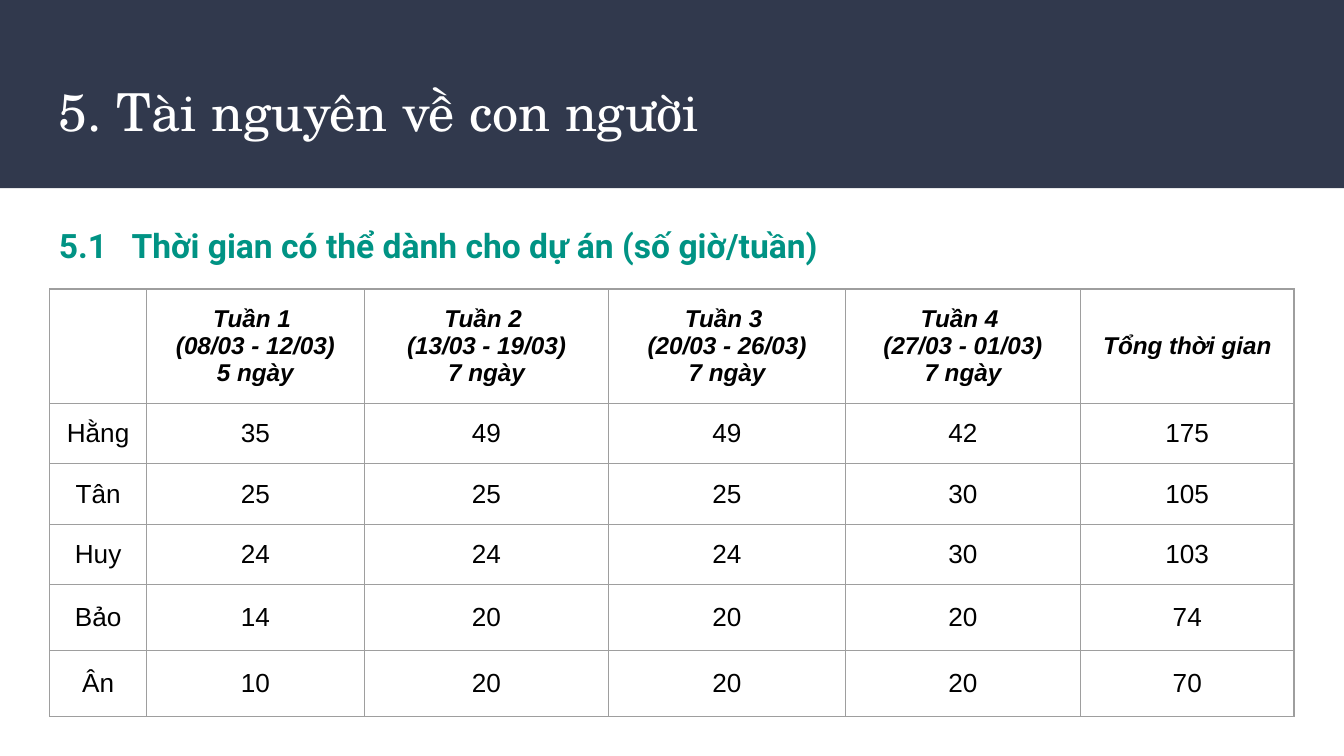
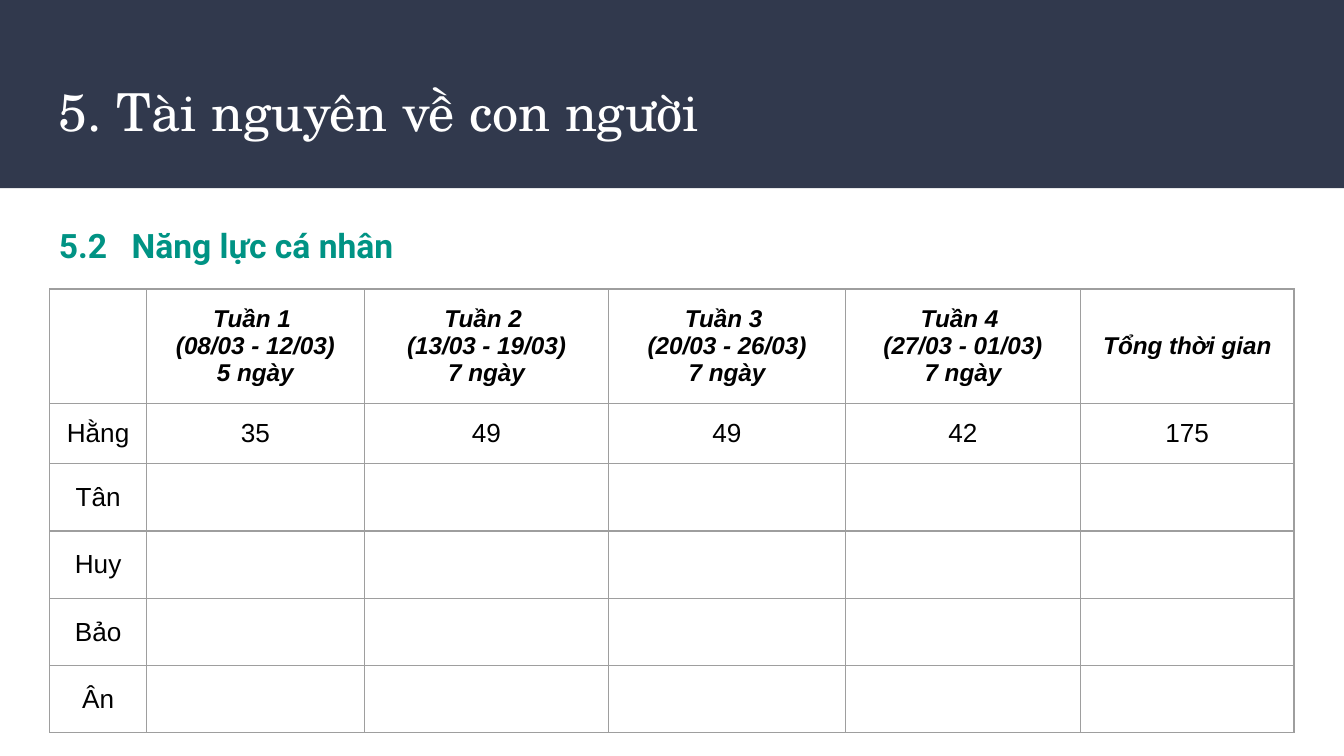
from dataclasses import dataclass

from lxml.etree import SubElement
from pptx import Presentation
from pptx.dml.color import RGBColor
from pptx.enum.shapes import MSO_SHAPE as Shape
from pptx.enum.text import MSO_ANCHOR as Anchor, PP_ALIGN as Align
from pptx.oxml.ns import qn
from pptx.util import Inches, Pt


@dataclass(frozen=True)
class Theme:
    band: str = "31394D"
    title: str = "FFFFFF"
    heading: str = "009384"
    text: str = "000000"
    grid: str = "9E9E9E"
    title_font: str = "TeX Gyre Schola"
    heading_font: str = "Roboto"
    table_font: str = "Arial"
    title_size: float = 28
    heading_size: float = 18
    header_size: float = 13
    value_size: float = 14
    empty_size: float = 18
    grid_width: float = 0.75


THEME = Theme()
SLIDE_WIDTH = Inches(10)
SLIDE_HEIGHT = SLIDE_WIDTH * 9 // 16
INSET = Inches(0.1)
LEFT = 0.34
HEADING_TAB = 0.54
TITLE = "5. Tài nguyên về con người"
COLUMN_WIDTHS = (0.72, 1.62, 1.82, 1.76, 1.75, 1.59)
ROW_HEIGHTS = (0.67, 0.45, 0.45, 0.45, 0.49, 0.49)
HEADER = (
    "",
    "Tuần 1 \n(08/03 - 12/03)\n5 ngày",
    "Tuần 2 \n(13/03 - 19/03)\n7 ngày",
    "Tuần 3 \n(20/03 - 26/03)\n7 ngày",
    "Tuần 4 \n(27/03 - 01/03)\n7 ngày",
    "Tổng thời gian",
)
MEMBERS = ("Hằng", "Tân", "Huy", "Bảo", "Ân")
AVAILABLE_HOURS = (
    (35, 49, 49, 42, 175),
    (25, 25, 25, 30, 105),
    (24, 24, 24, 30, 103),
    (14, 20, 20, 20, 74),
    (10, 20, 20, 20, 70),
)
CAPACITY = AVAILABLE_HOURS[:1] + ((("",) * 5),) * 4


def write(frame, text, *, font, size, color, bold=False, italic=False,
          align=Align.LEFT, line_spacing=None, space_after=None):
    """Fill a text frame, one paragraph for each line of text."""
    for number, line in enumerate(text.split("\n")):
        paragraph = frame.add_paragraph() if number else frame.paragraphs[0]
        paragraph.alignment = align
        paragraph.line_spacing = line_spacing
        paragraph.space_after = space_after
        run = paragraph.add_run()
        run.text = line
        run.font.name = font
        run.font.size = Pt(size)
        run.font.bold = bold
        run.font.italic = italic
        run.font.color.rgb = RGBColor.from_string(color)


def add_text(slide, text, left, top, width, height, **style):
    box = slide.shapes.add_textbox(
        Inches(left), Inches(top), Inches(width), Inches(height))
    frame = box.text_frame
    frame.word_wrap = True
    frame.margin_left = frame.margin_right = INSET
    frame.margin_top = frame.margin_bottom = INSET
    write(frame, text, **style)
    return frame


def add_title_band(slide):
    band = slide.shapes.add_shape(
        Shape.RECTANGLE, 0, 0, SLIDE_WIDTH, Inches(1.4))
    band.shadow.inherit = False
    band.fill.solid()
    band.fill.fore_color.rgb = RGBColor.from_string(THEME.band)
    band.line.fill.background()
    add_text(slide, TITLE, LEFT, 0.49, 9.32, 0.68, font=THEME.title_font,
             size=THEME.title_size, color=THEME.title)


def add_heading(slide, number, heading):
    frame = add_text(
        slide, f"{number}\t{heading}", LEFT, 1.53, 6.05, 0.79,
        font=THEME.heading_font, size=THEME.heading_size,
        color=THEME.heading, bold=True, line_spacing=1.15, space_after=Pt(12))
    stops = SubElement(frame.paragraphs[0]._p.get_or_add_pPr(), qn("a:tabLst"))
    SubElement(stops, qn("a:tab"), pos=str(Inches(HEADING_TAB)), algn="l")


def set_borders(cell):
    properties = cell._tc.get_or_add_tcPr()
    for side in ("lnL", "lnR", "lnT", "lnB"):
        border = SubElement(properties, qn(f"a:{side}"),
                            w=str(Pt(THEME.grid_width)))
        fill = SubElement(border, qn("a:solidFill"))
        SubElement(fill, qn("a:srgbClr"), val=THEME.grid)


def set_empty_size(cell):
    """Give a cell without text the line height of its empty paragraph."""
    end = SubElement(cell.text_frame.paragraphs[0]._p, qn("a:endParaRPr"),
                     sz=str(int(THEME.empty_size * 100)))
    SubElement(end, qn("a:latin"), typeface=THEME.table_font)


def format_cell(cell, text, is_header):
    set_borders(cell)
    cell.fill.background()
    cell.vertical_anchor = Anchor.MIDDLE
    cell.margin_left = cell.margin_right = INSET
    cell.margin_top = cell.margin_bottom = INSET
    if text:
        write(cell.text_frame, text, font=THEME.table_font,
              size=THEME.header_size if is_header else THEME.value_size,
              color=THEME.text, bold=is_header, italic=is_header,
              align=Align.CENTER)
    else:
        set_empty_size(cell)


def remove_table_style(table):
    properties = table._tbl.tblPr
    properties.remove(properties.find(qn("a:tableStyleId")))
    table.first_row = table.horz_banding = False


def add_hours_table(slide, hours):
    rows = [HEADER] + [(name, *row) for name, row in zip(MEMBERS, hours)]
    table = slide.shapes.add_table(
        len(rows), len(HEADER), Inches(0.37), Inches(2.15),
        Inches(sum(COLUMN_WIDTHS)), Inches(sum(ROW_HEIGHTS))).table
    remove_table_style(table)
    for column, width in zip(table.columns, COLUMN_WIDTHS):
        column.width = Inches(width)
    for index, (row, height) in enumerate(zip(table.rows, ROW_HEIGHTS)):
        row.height = Inches(height)
        for cell, value in zip(row.cells, rows[index]):
            format_cell(cell, str(value), is_header=index == 0)


def set_default_font(deck):
    for root in (deck.element, deck.slide_master.element):
        for latin in root.iter(qn("a:latin")):
            latin.set("typeface", THEME.table_font)


def add_resource_slide(deck, number, heading, hours):
    slide = deck.slides.add_slide(deck.slide_layouts[6])
    add_title_band(slide)
    add_heading(slide, number, heading)
    add_hours_table(slide, hours)


def main():
    deck = Presentation()
    deck.slide_width = SLIDE_WIDTH
    deck.slide_height = SLIDE_HEIGHT
    set_default_font(deck)
    add_resource_slide(deck, "5.1", "Thời gian có thể dành cho dự án (số giờ/tuần)",
                       AVAILABLE_HOURS)
    add_resource_slide(deck, "5.2", "Năng lực cá nhân", CAPACITY)
    deck.save("out.pptx")


if __name__ == "__main__":
    main()
